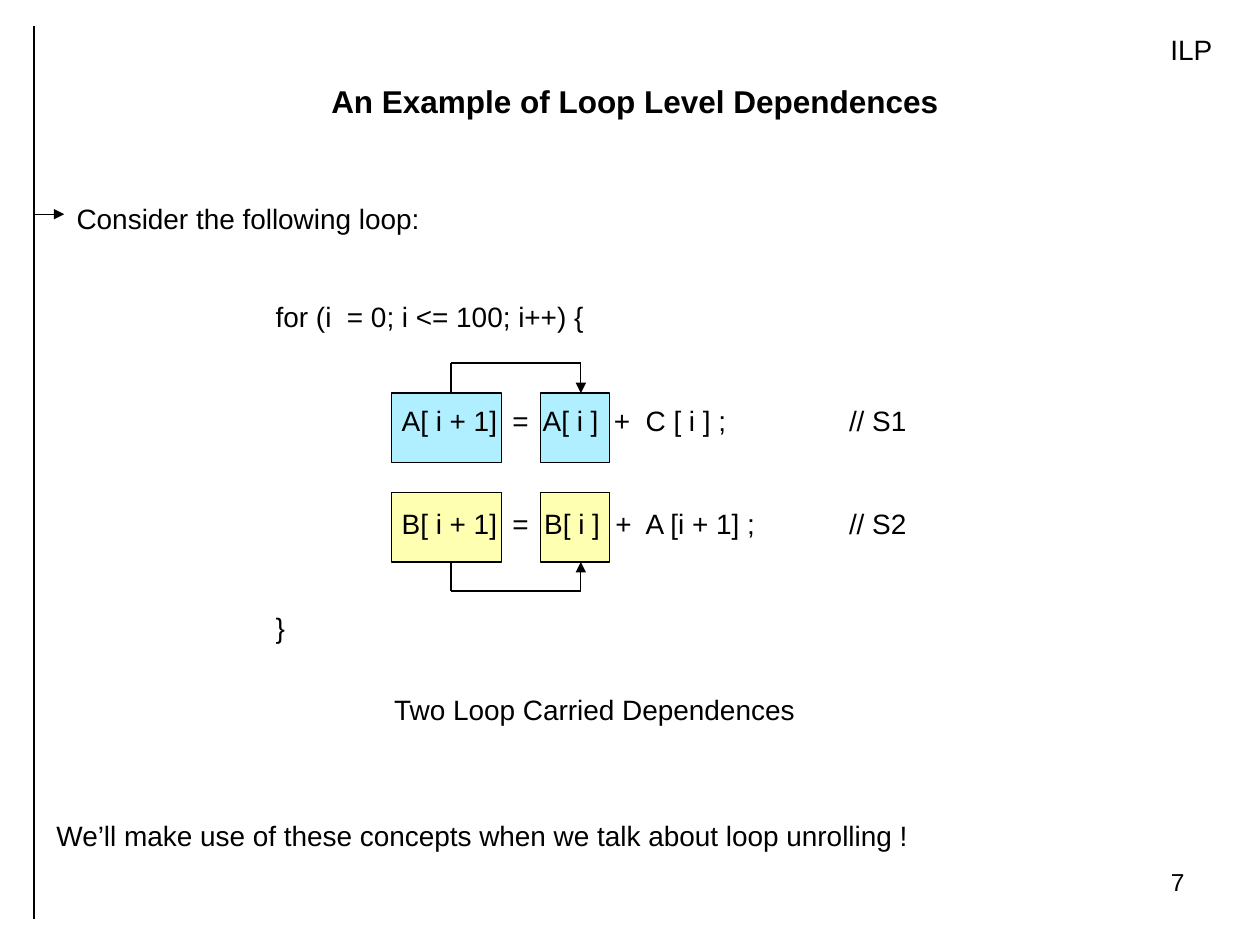
from lxml import etree
from pptx import Presentation
from pptx.dml.color import RGBColor
from pptx.enum.shapes import MSO_CONNECTOR, MSO_SHAPE
from pptx.enum.text import PP_ALIGN
from pptx.oxml.ns import qn
from pptx.util import Inches, Pt

LEFT, MID, RIGHT = PP_ALIGN.LEFT, PP_ALIGN.CENTER, PP_ALIGN.RIGHT
RECT, STRAIGHT = MSO_SHAPE.RECTANGLE, MSO_CONNECTOR.STRAIGHT
color = RGBColor.from_string
BLACK, BLUE, YELLOW = "000000", "00CCFF", "FFFF00"

# Grid: 100 columns by 75 rows of square cells
CELL = Inches(0.1)
deck = Presentation()
deck.slide_width, deck.slide_height = 100 * CELL, 75 * CELL
slide = deck.slides.add_slide(deck.slide_layouts[6])
shapes = slide.shapes


def write(lines, col, row, wide, high, size=16, align=LEFT, bold=False, wrap=True, gap=0, tabs=()):
    box = shapes.add_textbox(*(int(n * CELL) for n in (col, row, wide, high)))
    frame = box.text_frame
    frame.word_wrap = wrap
    for i, line in enumerate(lines):
        para = frame.add_paragraph() if i else frame.paragraphs[0]
        para.text = line
        para.alignment = align
        if i:
            para.space_before = Pt(gap)
        if tabs:
            stops = etree.SubElement(para._p.get_or_add_pPr(), qn("a:tabLst"))
            for stop in tabs:
                etree.SubElement(stops, qn("a:tab"), pos=str(int(stop * CELL)), algn="l")
        font = para.font
        font.name, font.size, font.bold = "Arial", Pt(size), bold
        font.color.rgb = color(BLACK)


def draw(start, end, arrow=False):
    link = shapes.add_connector(STRAIGHT, *(int(n * CELL) for n in (*start, *end)))
    link.line.width = Pt(0.75)
    link.line.color.rgb = color(BLACK)
    if arrow:
        etree.SubElement(link.line._get_or_add_ln(), qn("a:tailEnd"), type="triangle")
    etree.SubElement(link._element.spPr, qn("a:effectLst"))


# Shaded terms: one row per statement
TOP, LOW, TALL = 31.2, 39.1, 5.5
for row, fill, share in ((TOP, BLUE, 31), (LOW, YELLOW, 30)):
    for col, wide in ((31.1, 8.7), (42.9, 5.5)):
        term = shapes.add_shape(RECT, *(int(n * CELL) for n in (col, row, wide, TALL)))
        term.shadow.inherit = False
        term.fill.solid()
        term.fill.fore_color.rgb = color(fill)
        tint = term._element.spPr.find(qn("a:solidFill"))[0]
        etree.SubElement(tint, qn("a:alpha"), val=str(share * 1000))
        term.line.color.rgb = color(BLACK)
        term.line.width = Pt(0.75)

# Header and page number
write(["ILP"], 61.8, 2.1, 35.4, 3.7, align=RIGHT)
write(["An Example of Loop Level Dependences"], 5.1, 6, 90.6, 4, size=18, align=MID, bold=True)
write(["7"], 71.7, 68.3, 23.3, 5.2, size=14, align=RIGHT)

# Margin rule with its pointer
EDGE = 2.7
draw((EDGE, 2.1), (EDGE, 26.5))
draw((EDGE, 26.5), (EDGE, 72.9))
draw((EDGE, 17), (5.1, 17), arrow=True)

# Loop code
write(["Consider the following loop:"], 5.1, 15.5, 89, 3.7)
code = [
    "for (i  = 0; i <= 100; i++) {",
    "\tA[ i + 1]  =  A[ i ]  +  C [ i ] ;\t// S1",
    "\tB[ i + 1]  =  B[ i ]  +  A [i + 1] ;\t// S2",
    "}",
]
write(code, 20.9, 23.3, 60.6, 28, gap=40, tabs=(10, 45.5))

# Dependence arrows: out of the left term, into the right one
FROM, INTO = 35.8, 46.1
for side, bend in ((TOP, TOP - 2.4), (LOW + TALL, LOW + TALL + 2.3)):
    draw((FROM, side), (FROM, bend))
    draw((INTO, bend), (FROM, bend))
    draw((INTO, bend), (INTO, side), arrow=True)

# Remarks
write(["Two Loop Carried Dependences"], 30.3, 54.5, 33.9, 3.7, wrap=False)
write(["We’ll make use of these concepts when we talk about loop unrolling !"], 3.5, 64.5, 95.7, 3.7)

deck.save("out.pptx")
